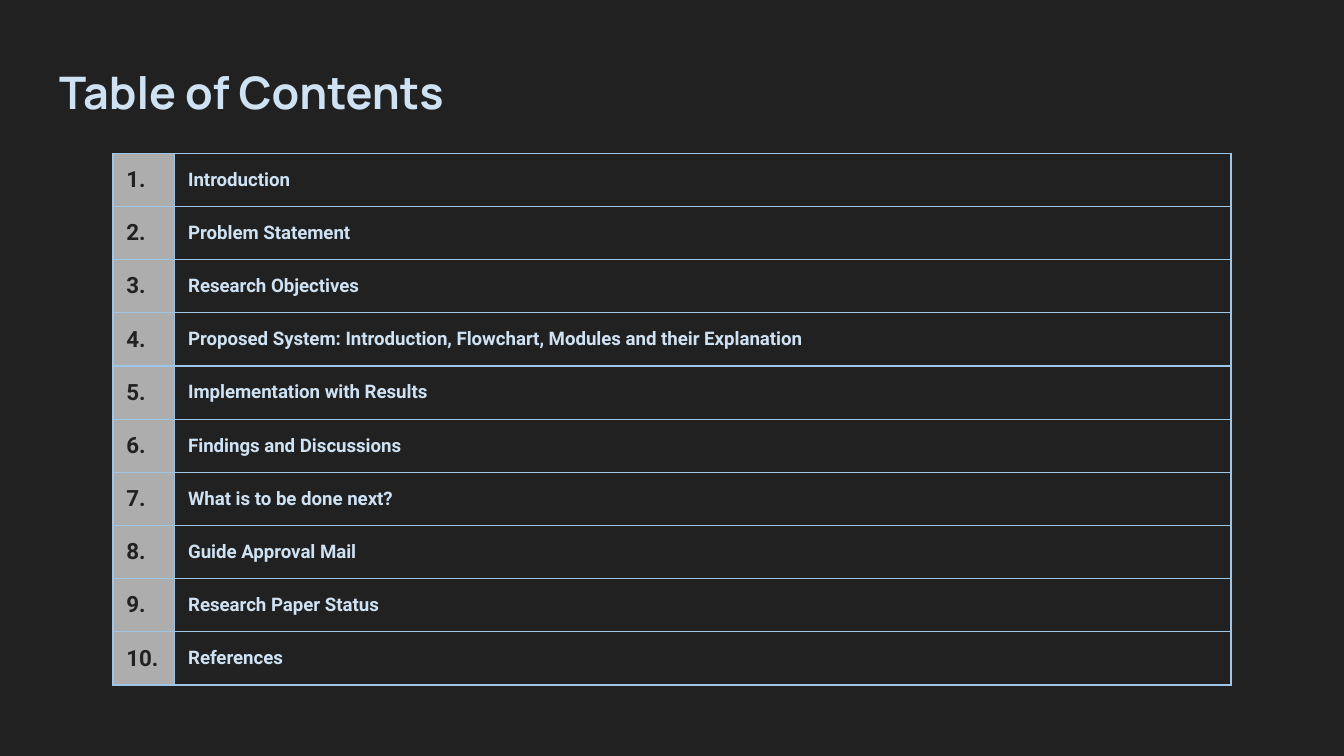
from dataclasses import dataclass

from lxml import etree
from pptx import Presentation
from pptx.dml.color import RGBColor
from pptx.enum.text import MSO_ANCHOR, PP_ALIGN
from pptx.oxml.ns import qn
from pptx.util import Inches, Pt

MIDDLE = MSO_ANCHOR.MIDDLE
LEFT = PP_ALIGN.LEFT
WIDE = Inches(10)
HIGH = WIDE * 9 // 16
PAD = Inches(0.1)
TITLE_ONLY = 5

TOPICS = [
    "Introduction",
    "Problem Statement",
    "Research Objectives",
    "Proposed System: Introduction, Flowchart, Modules and their Explanation",
    "Implementation with Results",
    "Findings and Discussions",
    "What is to be done next?",
    "Guide Approval Mail",
    "Research Paper Status",
    "References",
]


@dataclass(frozen=True)
class Theme:
    dark: str = "212121"
    pale: str = "CFE2F3"
    grey: str = "ADADAD"
    line: str = "9FC5E8"
    head: str = "Manrope"
    body: str = "Roboto"
    title: int = 24
    number: int = 12
    topic: int = 10
    rule: float = 0.75


THEME = Theme()


def style(frame, text, face, size, color):
    frame.text = text
    para = frame.paragraphs[0]
    para.alignment = LEFT
    font = para.runs[0].font
    font.name, font.size, font.bold = face, Pt(size), True
    font.color.rgb = RGBColor.from_string(color)


def add_title(slide, text):
    box = slide.shapes.title
    box.left, box.top = Inches(0.34), Inches(0.22)
    box.width, box.height = WIDE - 2 * box.left, Inches(0.92)
    frame = box.text_frame
    frame.vertical_anchor = MIDDLE
    frame.margin_left = frame.margin_right = PAD
    frame.margin_top = frame.margin_bottom = PAD
    style(frame, text, THEME.head, THEME.title, THEME.pale)


def add_border(cell):
    props = cell._tc.get_or_add_tcPr()
    for spot, side in enumerate(("lnL", "lnR", "lnT", "lnB")):
        line = etree.Element(qn(f"a:{side}"), w=str(Pt(THEME.rule)))
        fill = etree.SubElement(line, qn("a:solidFill"))
        etree.SubElement(fill, qn("a:srgbClr"), val=THEME.line)
        props.insert(spot, line)


def fill_cell(cell, text, size, color, back=None):
    cell.vertical_anchor = MIDDLE
    cell.margin_left = cell.margin_right = PAD
    cell.margin_top = cell.margin_bottom = 0
    if back:
        cell.fill.solid()
        cell.fill.fore_color.rgb = RGBColor.from_string(back)
    else:
        cell.fill.background()
    add_border(cell)
    style(cell.text_frame, text, THEME.body, size, color)


def add_contents(slide, topics):
    left, top = Inches(0.84), Inches(1.14)
    width, height = WIDE - 2 * left, Inches(3.96)
    count = len(topics)
    table = slide.shapes.add_table(count, 2, left, top, width, height).table
    table.first_row = table.horz_banding = False
    first, second = table.columns
    first.width = Inches(0.46)
    second.width = width - first.width
    for row, topic in enumerate(topics):
        table.rows[row].height = height // count
        fill_cell(table.cell(row, 0), f"{row + 1}.", THEME.number, THEME.dark, THEME.grey)
        fill_cell(table.cell(row, 1), topic, THEME.topic, THEME.pale)


def main():
    deck = Presentation()
    deck.slide_width, deck.slide_height = WIDE, HIGH
    slide = deck.slides.add_slide(deck.slide_layouts[TITLE_ONLY])
    back = slide.background.fill
    back.solid()
    back.fore_color.rgb = RGBColor.from_string(THEME.dark)
    add_title(slide, "Table of Contents")
    add_contents(slide, TOPICS)
    deck.save("out.pptx")


if __name__ == "__main__":
    main()
